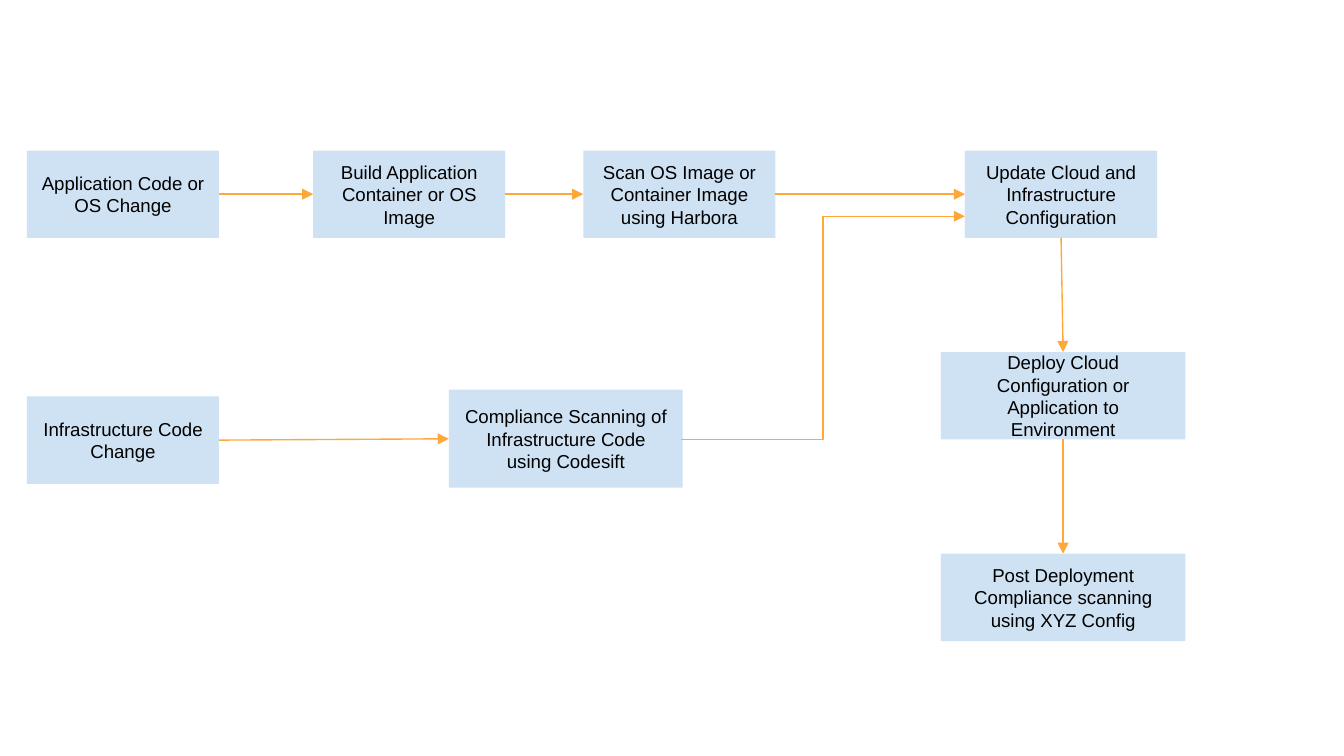
from lxml import etree
from pptx import Presentation
from pptx.dml.color import RGBColor
from pptx.enum.shapes import MSO_CONNECTOR, MSO_SHAPE
from pptx.enum.text import MSO_ANCHOR, PP_ALIGN
from pptx.oxml.ns import qn
from pptx.util import Inches, Pt

RECTANGLE = MSO_SHAPE.RECTANGLE
STRAIGHT, ELBOW = MSO_CONNECTOR.STRAIGHT, MSO_CONNECTOR.ELBOW
MIDDLE, CENTER = MSO_ANCHOR.MIDDLE, PP_ALIGN.CENTER
TOP, LEFT, BOTTOM, RIGHT = range(4)  # connection sites of a rectangle

SLIDE_WIDTH = Inches(10)
SLIDE_HEIGHT = SLIDE_WIDTH * 9 // 16
BOX_FILL, ARROW, TEXT = "CFE2F3", "FEA83A", "000000"
STEP_WIDTH, DEPLOY_WIDTH, STEP_HEIGHT = 1.43, 1.82, 0.65
APP_ROW, INFRA_ROW, DEPLOY_ROW, POST_ROW = 1.12, 2.95, 2.62, 4.12

STEPS = {
    "app": ("Application Code or OS Change",
            0.2, APP_ROW, STEP_WIDTH, STEP_HEIGHT),
    "build": ("Build Application Container or OS Image",
              2.33, APP_ROW, STEP_WIDTH, STEP_HEIGHT),
    "scan": ("Scan OS Image or Container Image using Harbora",
             4.34, APP_ROW, STEP_WIDTH, STEP_HEIGHT),
    "update": ("Update Cloud and Infrastructure Configuration",
               7.18, APP_ROW, STEP_WIDTH, STEP_HEIGHT),
    "infra": ("Infrastructure Code Change",
              0.2, INFRA_ROW, STEP_WIDTH, STEP_HEIGHT),
    "comply": ("Compliance Scanning of Infrastructure Code using Codesift",
               3.34, 2.9, 1.74, 0.73),
    "deploy": ("Deploy Cloud Configuration or Application to Environment",
               7, DEPLOY_ROW, DEPLOY_WIDTH, STEP_HEIGHT),
    "post": ("Post Deployment Compliance scanning using XYZ Config",
             7, POST_ROW, DEPLOY_WIDTH, STEP_HEIGHT),
}
LINKS = [
    ("app", RIGHT, "build", LEFT),
    ("build", RIGHT, "scan", LEFT),
    ("scan", RIGHT, "update", LEFT),
    ("infra", RIGHT, "comply", LEFT),
    ("update", BOTTOM, "deploy", TOP),
    ("deploy", BOTTOM, "post", TOP),
]


def color(value):
    """Turn a hex string into a colour."""
    return RGBColor.from_string(value)


def set_values(target, values):
    """Set attributes of an object from a dict."""
    for name, value in values.items():
        setattr(target, name, value)


def add_step(slide, text, left, top, width, height):
    """Add one filled process box with centred text."""
    box = slide.shapes.add_shape(RECTANGLE, Inches(left), Inches(top),
                                 Inches(width), Inches(height))
    box.shadow.inherit = False
    box.fill.solid()
    box.fill.fore_color.rgb = color(BOX_FILL)
    box.line.fill.background()
    frame = box.text_frame
    set_values(frame, {"word_wrap": True, "vertical_anchor": MIDDLE})
    set_values(frame, {f"margin_{side}": Inches(0.1)
                       for side in ("left", "top", "right", "bottom")})
    para = frame.paragraphs[0]
    para.alignment = CENTER
    span = para.add_run()
    span.text = text
    set_values(span.font, {"name": "Arial", "size": Pt(10)})
    span.font.color.rgb = color(TEXT)
    return box


def add_arrow(slide, kind, start=(0, 0), end=(0, 0)):
    """Add a connector with a triangle head at its end."""
    arrow = slide.shapes.add_connector(
        kind, *(Inches(value) for value in (*start, *end)))
    arrow.line.color.rgb = color(ARROW)
    arrow.line.width = Pt(0.75)
    outline = arrow.line._get_or_add_ln()
    etree.SubElement(outline, qn("a:tailEnd"), type="triangle")
    etree.SubElement(arrow._element.spPr, qn("a:effectLst"))
    return arrow


def link_steps(slide, source, source_site, target, target_site):
    """Join two boxes with a straight arrow."""
    arrow = add_arrow(slide, STRAIGHT)
    arrow.begin_connect(source, source_site)
    arrow.end_connect(target, target_site)


def main():
    """Build the pipeline slide."""
    deck = Presentation()
    set_values(deck, {"slide_width": SLIDE_WIDTH,
                      "slide_height": SLIDE_HEIGHT})
    slide = deck.slides.add_slide(deck.slide_layouts[6])
    boxes = {name: add_step(slide, *step) for name, step in STEPS.items()}
    for source, source_site, target, target_site in LINKS:
        link_steps(slide, boxes[source], source_site,
                   boxes[target], target_site)
    add_arrow(slide, ELBOW, (5.07, 3.27), (7.18, 1.61))
    deck.save("out.pptx")


main()
